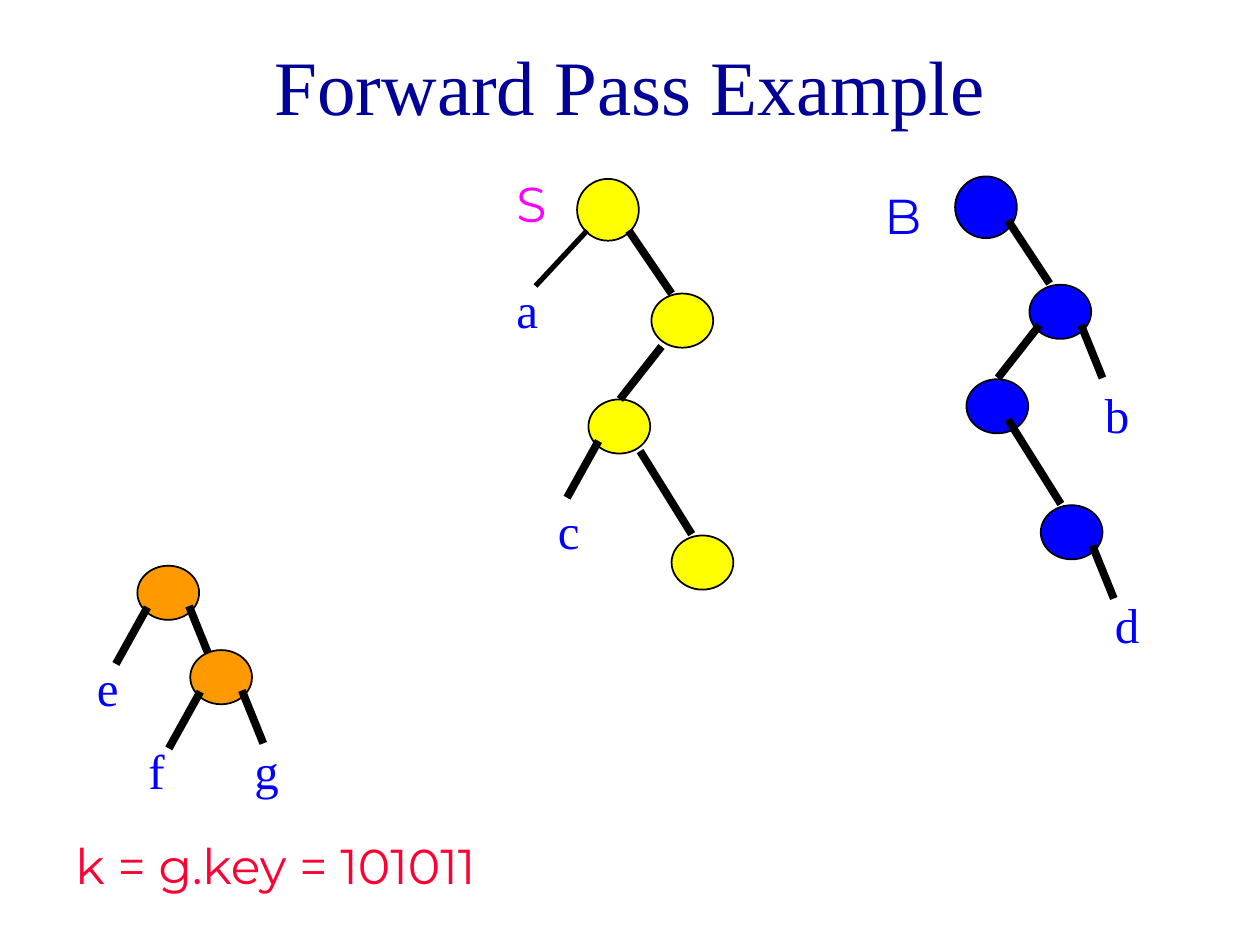
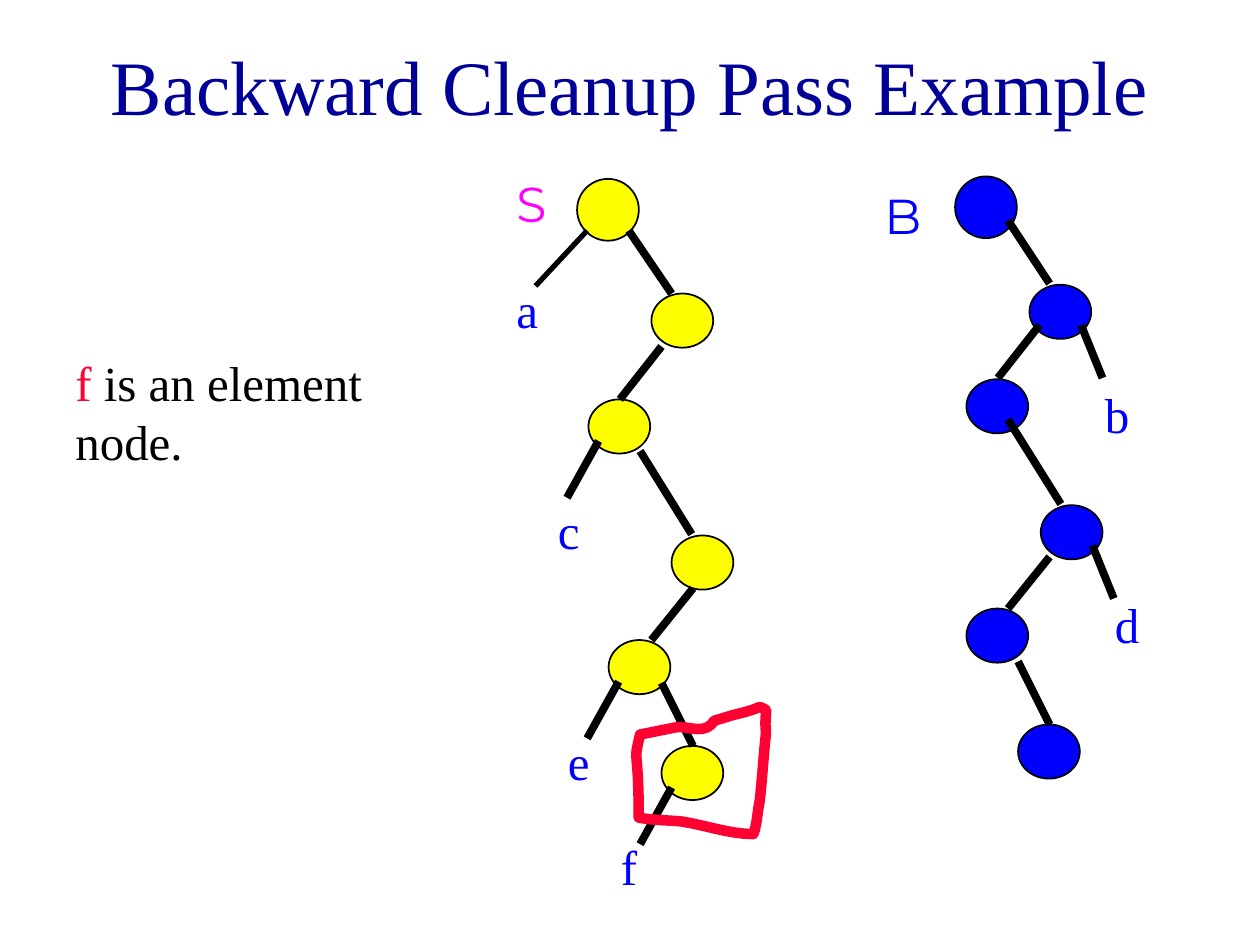
from lxml.etree import SubElement
from pptx import Presentation
from pptx.dml.color import RGBColor
from pptx.enum.shapes import MSO_CONNECTOR, MSO_SHAPE
from pptx.enum.text import MSO_ANCHOR, MSO_AUTO_SIZE, PP_ALIGN
from pptx.oxml.ns import qn
from pptx.util import Inches, Pt

BLACK, WHITE, NAVY = "000000", "FFFFFF", "000099"
YELLOW, BLUE, ORANGE = "FFFF00", "0000FF", "FF9900"
MAGENTA, RED = "FF00FF", "FF0033"
SERIF, SANS = "Times New Roman", "Montserrat"

S_ROOT, B_ROOT = (4.58, 1.42), (7.58, 1.4)
S_NODES = [(5.17, 2.33), (4.67, 3.17), (5.33, 4.25)]
S_EDGES = [((4.99, 1.83), (5.33, 2.33)), ((5.25, 2.75), (4.92, 3.17)),
           ((5.08, 3.58), (5.49, 4.24))]
B_NODES = [(8.17, 2.26), (7.67, 3.01), (8.26, 4.01)]
B_EDGES = [((8, 1.75), (8.33, 2.25)), ((8.25, 2.58), (7.92, 3)),
           ((8, 3.33), (8.42, 4))]
E_NODE, F_NODE = (4.83, 5.08), (5.25, 5.92)
STUBS = {"left": ((0.08, 0.33), (-0.17, 0.78)),
         "right": ((0.41, 0.32), (0.58, 0.74))}

MARK_START = (6.03, 5.61)
MARK_SEGMENTS = [
    [(5.95, 5.65), (5.86, 5.66), (5.77, 5.69)],
    [(5.74, 5.7), (5.67, 5.72), (5.67, 5.72)],
    [(5.6, 5.83), (5.49, 5.77), (5.38, 5.77)],
    [(5.08, 5.83)],
    [(5.02, 6.09), (5.07, 5.88), (5.07, 6.49)],
    [(5.18, 6.51), (5.3, 6.51), (5.41, 6.52)],
    [(5.6, 6.55), (5.79, 6.62), (5.98, 6.62)],
    [(6.01, 6.54), (6.01, 6.45), (6.03, 6.36)],
    [(6.05, 6.18), (6.06, 6), (6.08, 5.82)],
    [(6.06, 5.61), (6.12, 5.65), (6.03, 5.61)],
]


def color(value):
    return RGBColor.from_string(value)


def shift(point, offset):
    return point[0] + offset[0], point[1] + offset[1]


def inches(values):
    return [Inches(value) for value in values]


def curve(start, controls, steps=8):
    if len(controls) == 1:
        return controls
    points = [start, *controls]
    path_points = []
    for step in range(1, steps + 1):
        t = step / steps
        weights = ((1 - t) ** 3, 3 * t * (1 - t) ** 2, 3 * t * t * (1 - t), t ** 3)
        path_points.append(tuple(
            sum(w * p[axis] for w, p in zip(weights, points)) for axis in (0, 1)))
    return path_points


class TreeDeck:
    frame_format = {"word_wrap": True, "auto_size": MSO_AUTO_SIZE.SHAPE_TO_FIT_TEXT}
    title_format = {"word_wrap": True, "vertical_anchor": MSO_ANCHOR.MIDDLE}

    def __init__(self):
        self.deck = Presentation()
        self.deck.slide_width, self.deck.slide_height = inches((10, 7.5))
        self.slide = None

    def start(self, title):
        self.slide = self.deck.slides.add_slide(self.deck.slide_layouts[6])
        self.text([(title, NAVY)], (0.75, 0.17), (8.5, 1), size=44,
                  align=PP_ALIGN.CENTER, frame_format=self.title_format)

    def text(self, runs, at, size_in, font=SERIF, size=28, align=PP_ALIGN.LEFT,
             fill=None, frame_format=frame_format):
        box = self.slide.shapes.add_textbox(*inches(at), *inches(size_in))
        if fill:
            box.fill.solid()
            box.fill.fore_color.rgb = color(fill)
        for key, value in frame_format.items():
            setattr(box.text_frame, key, value)
        paragraph = box.text_frame.paragraphs[0]
        paragraph.alignment = align
        for words, tint in runs:
            run = paragraph.add_run()
            run.text = words
            for key, value in {"name": font, "size": Pt(size)}.items():
                setattr(run.font, key, value)
            run.font.color.rgb = color(tint)

    def label(self, letter, at, tint=BLUE, font=SERIF, width=0.5):
        self.text([(letter, tint)], at, (width, 0.57), font)

    def node(self, at, fill, height=0.43):
        oval = self.slide.shapes.add_shape(
            MSO_SHAPE.OVAL, *inches(at), *inches((0.49, height)))
        oval.shadow.inherit = False
        oval.fill.solid()
        oval.fill.fore_color.rgb = color(fill)
        self.stroke(oval, BLACK, 1)

    def stroke(self, outlined, tint, width):
        outlined.line.color.rgb = color(tint)
        outlined.line.width = Pt(width)

    def edge(self, begin, end, width=4.5):
        branch = self.slide.shapes.add_connector(
            MSO_CONNECTOR.STRAIGHT, *inches(begin), *inches(end))
        self.stroke(branch, BLACK, width)
        SubElement(branch._element.spPr, qn("a:effectLst"))

    def stub(self, node, side):
        self.edge(*(shift(node, offset) for offset in STUBS[side]))

    def leaf(self, letter, node, side, label_offset):
        self.stub(node, side)
        self.label(letter, shift(node, label_offset))

    def tree(self, root, nodes, edges, fill):
        self.node(root, fill, 0.49)
        for at in nodes:
            self.node(at, fill)
        for begin, end in edges:
            self.edge(begin, end)

    def split_trees(self, s_nodes=(), s_edges=(), b_nodes=(), b_edges=()):
        self.tree(S_ROOT, [*S_NODES, *s_nodes], [*S_EDGES, *s_edges], YELLOW)
        self.edge((4.66, 1.83), (4.25, 2.27), 3)
        self.label("a", (4, 2.17))
        self.label("S", (4, 1.33), MAGENTA, SANS, 0.58)
        self.leaf("c", S_NODES[1], "left", (-0.34, 0.75))
        self.tree(B_ROOT, [*B_NODES, *b_nodes], [*B_EDGES, *b_edges], BLUE)
        self.label("B", (6.92, 1.42), BLUE, SANS, 0.58)
        self.leaf("b", B_NODES[0], "right", (0.5, 0.74))
        self.leaf("d", B_NODES[2], "right", (0.49, 0.66))

    def mark(self, start, segments, tint, width):
        outline_points, last = [], start
        for controls in segments:
            outline_points += curve(last, controls)
            last = controls[-1]
        builder = self.slide.shapes.build_freeform(*inches(start))
        builder.add_line_segments([inches(point) for point in outline_points], close=True)
        outline = builder.convert_to_shape()
        outline.shadow.inherit = False
        outline.fill.background()
        self.stroke(outline, tint, width)
        outline.line._get_or_add_ln().set("cap", "rnd")
        SubElement(outline.line._get_or_add_ln(), qn("a:round"))


def forward_pass(deck):
    deck.start("Forward Pass Example")
    deck.split_trees()
    remaining_root, remaining_child = (1.09, 4.49), (1.51, 5.16)
    deck.node(remaining_root, ORANGE)
    deck.leaf("e", remaining_root, "left", (-0.42, 0.68))
    deck.stub(remaining_root, "right")
    deck.node(remaining_child, ORANGE)
    deck.leaf("f", remaining_child, "left", (-0.43, 0.67))
    deck.leaf("g", remaining_child, "right", (0.41, 0.67))
    deck.text([("k = g.key = 101011", RED)], (0.5, 6.58), (5.42, 0.57), SANS, fill=WHITE)


def backward_cleanup(deck):
    deck.start("Backward Cleanup Pass Example")
    deck.split_trees(
        s_nodes=[E_NODE, F_NODE],
        s_edges=[((5.5, 4.67), (5.17, 5.08)), ((5.25, 5.42), (5.5, 5.92))],
        b_nodes=[(7.67, 4.83), (8.08, 5.75)],
        b_edges=[((8.33, 4.42), (8, 4.83)), ((8.08, 5.25), (8.33, 5.75))])
    deck.leaf("e", E_NODE, "left", (-0.42, 0.68))
    deck.leaf("f", F_NODE, "left", (-0.42, 0.67))
    deck.text([("f ", RED), ("is an element node.", BLACK)], (0.5, 2.75), (3, 1.04),
              fill=WHITE)
    deck.mark(MARK_START, MARK_SEGMENTS, RED, 6)


def main():
    deck = TreeDeck()
    forward_pass(deck)
    backward_cleanup(deck)
    deck.deck.save("out.pptx")


if __name__ == "__main__":
    main()
